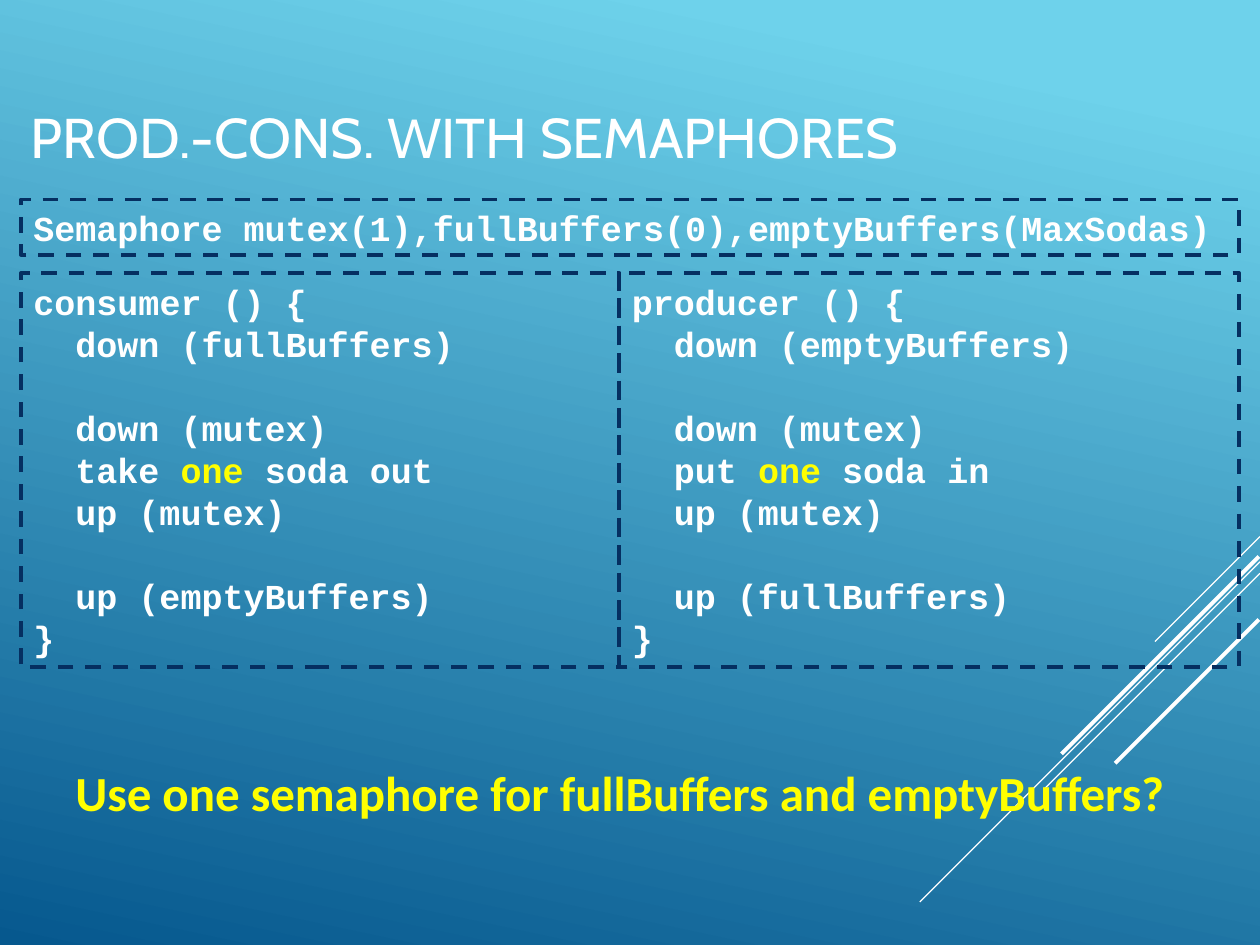
import dataclasses

import pptx
import pptx.dml.color
import pptx.enum.dml
import pptx.enum.shapes
import pptx.enum.text
import pptx.oxml.ns
import pptx.util
from lxml import etree

COLS, ROWS = 120, 90


@dataclasses.dataclass(frozen=True)
class Theme:
    sky: str = "6ED2EB"
    deep: str = "06588E"
    navy: str = "052F61"
    white: str = "FFFFFF"
    yellow: str = "FFFF00"
    head: int = 32
    code: int = 20
    note: int = 28
    pitch: int = 24
    tab: int = 24


def tint(code):
    return pptx.dml.color.RGBColor.from_string(code)


class Deck:
    """Draws on one slide, with lengths in grid columns and rows."""

    def __init__(self, theme):
        self.theme = theme
        self.file = pptx.Presentation()
        self.file.slide_width = pptx.util.Inches(10)
        self.file.slide_height = pptx.util.Inches(7.5)
        self.slide = self.file.slides.add_slide(self.file.slide_layouts[6])

    def place(self, *cells):
        """Turn column, row pairs into slide lengths."""
        units = (self.file.slide_width / COLS, self.file.slide_height / ROWS)
        return [round(cell * units[i % 2]) for i, cell in enumerate(cells)]

    def back(self):
        fill = self.slide.background.fill
        fill.gradient()
        fill.gradient_angle = 258
        stops = zip(fill.gradient_stops, (0.1, 1), (self.theme.sky, self.theme.deep))
        for stop, spot, color in stops:
            stop.position = spot
            stop.color.rgb = tint(color)

    def ray(self, right, top, span, width):
        """Draw a line that falls to the left at 45 degrees."""
        ends = self.place(right, top, right - span, top + span)
        line = self.slide.shapes.add_connector(
            pptx.enum.shapes.MSO_CONNECTOR.STRAIGHT, *ends)
        line.line.color.rgb = tint(self.theme.white)
        line.line.width = pptx.util.Pt(width)
        etree.SubElement(line._element.spPr, pptx.oxml.ns.qn("a:effectLst"))

    def style(self, run, face, size, color, bold):
        run.font.name = face
        run.font.size = pptx.util.Pt(size)
        run.font.color.rgb = tint(color)
        run.font.bold = bold

    def label(self, cells, text, face, size, color, bold=False):
        box = self.slide.shapes.add_textbox(*self.place(*cells))
        frame = box.text_frame
        frame.word_wrap = True
        frame.vertical_anchor = pptx.enum.text.MSO_ANCHOR.MIDDLE
        frame.text = text
        self.style(frame.paragraphs[0].runs[0], face, size, color, bold)

    def code(self, cells, blocks):
        """Draw a dashed box of code; a gap parts the blocks, a tab indents."""
        theme = self.theme
        box = self.slide.shapes.add_shape(
            pptx.enum.shapes.MSO_SHAPE.RECTANGLE, *self.place(*cells))
        box.shadow.inherit = False
        box.fill.background()
        box.line.color.rgb = tint(theme.navy)
        box.line.width = pptx.util.Pt(2.25)
        box.line.dash_style = pptx.enum.dml.MSO_LINE.DASH
        frame = box.text_frame
        frame.word_wrap = True
        frame.vertical_anchor = pptx.enum.text.MSO_ANCHOR.MIDDLE
        rows = [(row, b > 0 and i == 0)
                for b, block in enumerate(blocks) for i, row in enumerate(block)]
        frame.text = "\n".join(row.strip("\t") for row, _ in rows)
        for para, (row, gap) in zip(frame.paragraphs, rows):
            para.alignment = pptx.enum.text.PP_ALIGN.LEFT
            para.line_spacing = pptx.util.Pt(theme.pitch)
            para.space_before = pptx.util.Pt(theme.pitch if gap else 0)
            if row.startswith("\t"):
                para._p.get_or_add_pPr().set("marL", str(pptx.util.Pt(theme.tab)))
            self.accent(para, "one")
            for run in para.runs:
                color = theme.yellow if run.text == "one" else theme.white
                self.style(run, "Courier New", theme.code, color, True)

    def accent(self, para, word):
        """Split a line into runs so that the word stands alone."""
        left, mark, right = para.text.partition(f" {word} ")
        if mark:
            para.text = left + " "
            for part in (word, " " + right):
                para.add_run().text = part


def main():
    theme = Theme()
    deck = Deck(theme)
    deck.back()
    for ray in ((120, 51.1, 10, 0.75), (120, 53.5, 32.4, 0.75),
                (120, 54.6, 20.6, 0.75), (119.9, 53, 18.8, 2.25),
                (119.9, 59, 13.7, 2.25)):
        deck.ray(*ray)

    deck.label((1.7, 3, 86, 20), "PROD.-CONS. WITH SEMAPHORES",
               "Cabin", theme.head, theme.white)
    left, mid, right = 2, 59, 118
    for start, end, name, wait, act, post in (
            (mid, right, "producer", "emptyBuffers", "put one soda in", "fullBuffers"),
            (left, mid, "consumer", "fullBuffers", "take one soda out", "emptyBuffers")):
        deck.code((start, 26, end - start, 37.5), [
            [f"{name} () {{", f"\tdown ({wait})"],
            ["\tdown (mutex)", f"\t{act}", "\tup (mutex)"],
            [f"\tup ({post})", "}"],
        ])
    deck.code((left, 19, right - left, 5.25),
              [["Semaphore mutex(1),fullBuffers(0),emptyBuffers(MaxSodas)"]])
    deck.label((6, 72, 108, 6.8), "Use one semaphore for fullBuffers and emptyBuffers?",
               "Calibri", theme.note, theme.yellow, True)
    deck.file.save("out.pptx")


if __name__ == "__main__":
    main()
